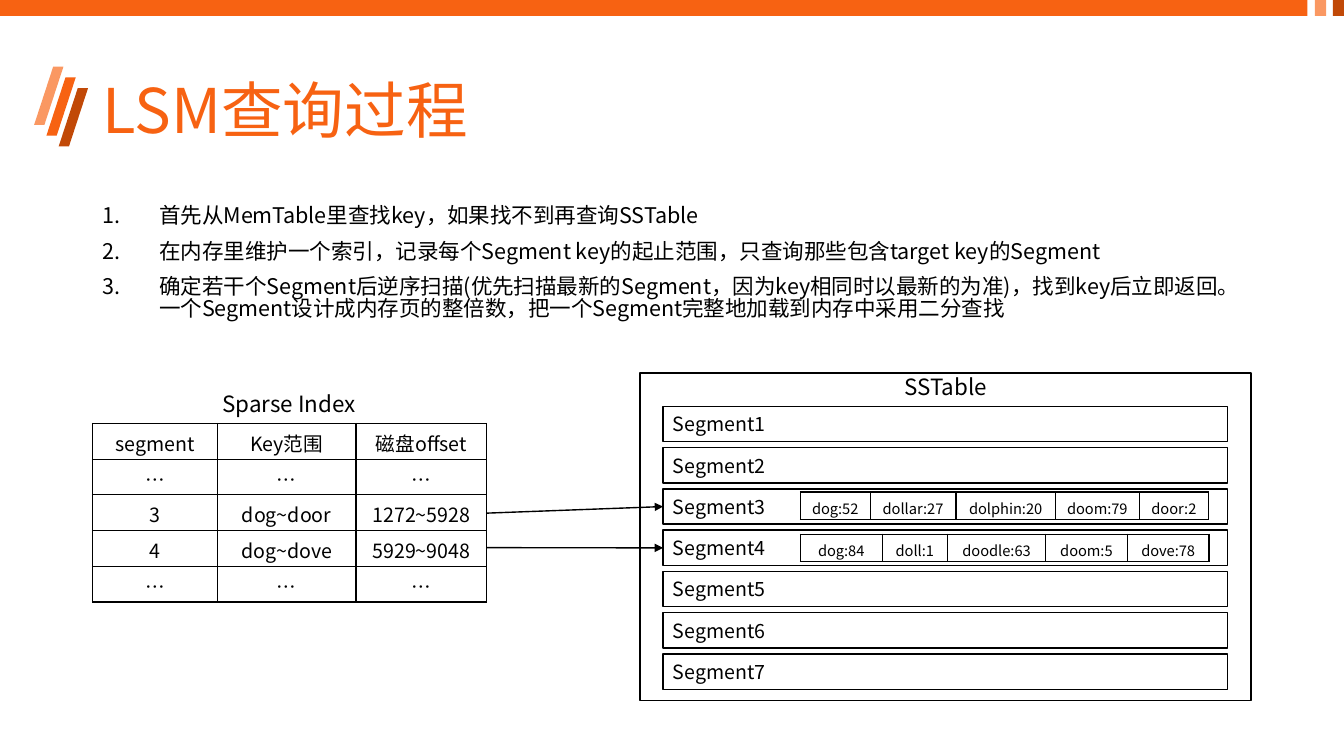
"""Build the slide on how an LSM store answers a query."""
from dataclasses import dataclass

from lxml.etree import SubElement
from pptx import Presentation
from pptx.dml.color import RGBColor
from pptx.enum.shapes import MSO_CONNECTOR, MSO_SHAPE
from pptx.enum.text import MSO_ANCHOR, MSO_AUTO_SIZE, PP_ALIGN
from pptx.oxml import parse_xml
from pptx.oxml.ns import nsdecls, qn
from pptx.util import Cm, Pt


@dataclass(frozen=True)
class Theme:
    face: str = "Noto Sans CJK SC"
    brand: str = "F76212"
    light: str = "FA9862"
    dark: str = "C14907"
    ink: str = "000000"
    paper: str = "FFFFFF"
    title: float = 44
    head: float = 16
    body: float = 15.4
    label: float = 14
    small: float = 10.5
    stroke: float = 1


THEME = Theme()


def write(frame, text, size=THEME.label, color=THEME.ink, align=PP_ALIGN.LEFT,
          anchor=MSO_ANCHOR.TOP, wrap=True, gap=0, line=None, count=False):
    frame.word_wrap = wrap
    frame.vertical_anchor = anchor
    for i, words in enumerate(text.split("\n")):
        para = frame.paragraphs[0] if i == 0 else frame.add_paragraph()
        para.alignment = align
        para.space_before = Pt(gap if i else 0)
        if line:
            para.line_spacing = line
        if count:
            props = para._p.get_or_add_pPr()
            props.set("marL", str(Cm(1.43)))
            props.set("indent", str(Cm(-1.43)))
            SubElement(props, qn("a:buFont"), typeface="+mj-lt")
            SubElement(props, qn("a:buAutoNum"), type="arabicPeriod")
        run = para.add_run()
        run.text = words
        run.font.size = Pt(size)
        run.font.name = THEME.face
        run.font.color.rgb = RGBColor.from_string(color)
        SubElement(run._r.get_or_add_rPr(), qn("a:ea"), typeface=THEME.face)


class Painter:
    def __init__(self, theme, slide):
        self.theme = theme
        self.slide = slide
        self.shapes = slide.shapes

    def title(self, text, *box):
        holder = self.shapes.title
        holder.left, holder.top, holder.width, holder.height = map(Cm, box)
        holder.text_frame.auto_size = MSO_AUTO_SIZE.NONE
        write(holder.text_frame, text, size=self.theme.title,
              color=self.theme.brand, anchor=MSO_ANCHOR.MIDDLE, line=0.9)

    def text(self, text, *box, **style):
        write(self.shapes.add_textbox(*map(Cm, box)).text_frame, text, **style)

    def block(self, *box, fill, kind=MSO_SHAPE.RECTANGLE, edge=False):
        shape = self.shapes.add_shape(kind, *map(Cm, box))
        shape.shadow.inherit = False
        shape.fill.solid()
        shape.fill.fore_color.rgb = RGBColor.from_string(fill)
        if edge:
            shape.line.color.rgb = RGBColor.from_string(self.theme.ink)
            shape.line.width = Pt(self.theme.stroke)
        else:
            shape.line.fill.background()
        return shape

    def frame(self, text, *box, **style):
        shape = self.block(*box, fill=self.theme.paper, edge=True)
        write(shape.text_frame, text, **style)
        return shape

    def table(self, rows, left, top, widths, height, **style):
        grid = self.shapes.add_table(
            len(rows), len(widths), Cm(left), Cm(top),
            Cm(sum(widths)), Cm(height * len(rows))).table
        grid.first_row = grid.horz_banding = False
        for col, width in zip(grid.columns, widths):
            col.width = Cm(width)
        for row, words in zip(grid.rows, rows):
            row.height = Cm(height)
            for cell, word in zip(row.cells, words):
                self.cell(cell, word, **style)

    def cell(self, cell, text, anchor=MSO_ANCHOR.TOP, **style):
        write(cell.text_frame, text, align=PP_ALIGN.CENTER, **style)
        cell.vertical_anchor = anchor
        cell.fill.background()
        props = cell._tc.get_or_add_tcPr()
        for i, side in enumerate("LRTB"):
            props.insert(i, parse_xml(
                f'<a:ln{side} {nsdecls("a")} w="{Pt(self.theme.stroke)}">'
                f'<a:solidFill><a:srgbClr val="{self.theme.ink}"/></a:solidFill>'
                f'</a:ln{side}>'))

    def arrow(self, left, top, goal):
        line = self.shapes.add_connector(
            MSO_CONNECTOR.STRAIGHT, Cm(left), Cm(top), Cm(left), Cm(top))
        line.end_connect(goal, 1)
        line.line.color.rgb = RGBColor.from_string(self.theme.ink)
        line.line.width = Pt(self.theme.stroke)
        SubElement(line.line._get_or_add_ln(), qn("a:tailEnd"), type="triangle")
        SubElement(line._element.spPr, qn("a:effectLst"))


def main():
    deck = Presentation()
    deck.slide_width, deck.slide_height = Cm(33.87), Cm(19.05)
    pen = Painter(THEME, deck.slides.add_slide(deck.slide_layouts[5]))

    for i, fill in enumerate((THEME.light, THEME.brand, THEME.dark)):
        slash = pen.block(0.86 + 0.31 * i, 1.68 + 0.27 * i, 0.74, 1.47,
                          fill=fill, kind=MSO_SHAPE.PARALLELOGRAM)
        slash.adjustments[0] = 0.65
    for left, width, fill in ((0, 32.95, THEME.brand), (33.14, 0.28, THEME.light),
                              (33.59, 0.28, THEME.dark)):
        pen.block(left, 0, width, 0.4, fill=fill)

    pen.title("LSM查询过程", 2.33, 1.01, 29.21, 3.68)
    steps = (
        "首先从MemTable里查找key，如果找不到再查询SSTable",
        "在内存里维护一个索引，记录每个Segment key的起止范围，"
        "只查询那些包含target key的Segment",
        "确定若干个Segment后逆序扫描(优先扫描最新的Segment，"
        "因为key相同时以最新的为准)，找到key后立即返回。"
        "一个Segment设计成内存页的整倍数，"
        "把一个Segment完整地加载到内存中采用二分查找",
    )
    pen.text("\n".join(steps), 2.33, 5.08, 29.21, 3.89, size=THEME.body,
             gap=10, line=0.83, count=True)

    store = pen.frame("SSTable", 16.13, 9.4, 15.4, 8.25, size=THEME.head,
                      align=PP_ALIGN.CENTER)
    store.text_frame.margin_top = 0
    parts = [pen.frame(f"Segment{i + 1}", 16.71, 10.24 + 1.04 * i, 14.22, 0.89,
                       anchor=MSO_ANCHOR.MIDDLE) for i in range(7)]

    pairs = (
        (12.4, ("dog:52", "dollar:27", "dolphin:20", "doom:79", "door:2"),
         (1.76, 2.16, 2.51, 2.11, 1.75)),
        (13.46, ("dog:84", "doll:1", "doodle:63", "doom:5", "dove:78"),
         (2.06, 1.65, 2.47, 2.06, 2.06)),
    )
    for top, words, widths in pairs:
        pen.table([words], 20.17, top, widths, 0.58, size=THEME.small,
                  anchor=MSO_ANCHOR.MIDDLE)

    index = [
        ("segment", "Key范围", "磁盘offset"),
        ("…",) * 3,
        ("3", "dog~door", "1272~5928"),
        ("4", "dog~dove", "5929~9048"),
        ("…",) * 3,
    ]
    pen.text("Sparse Index", 5.36, 9.7, 3.86, 0.94, size=THEME.head, wrap=False)
    pen.table(index, 2.33, 10.67, (3.15, 3.49, 3.3), 0.9)

    for top, part in zip((12.93, 13.8), parts[2:4]):
        pen.arrow(12.27, top, part)
    deck.save("out.pptx")


if __name__ == "__main__":
    main()
